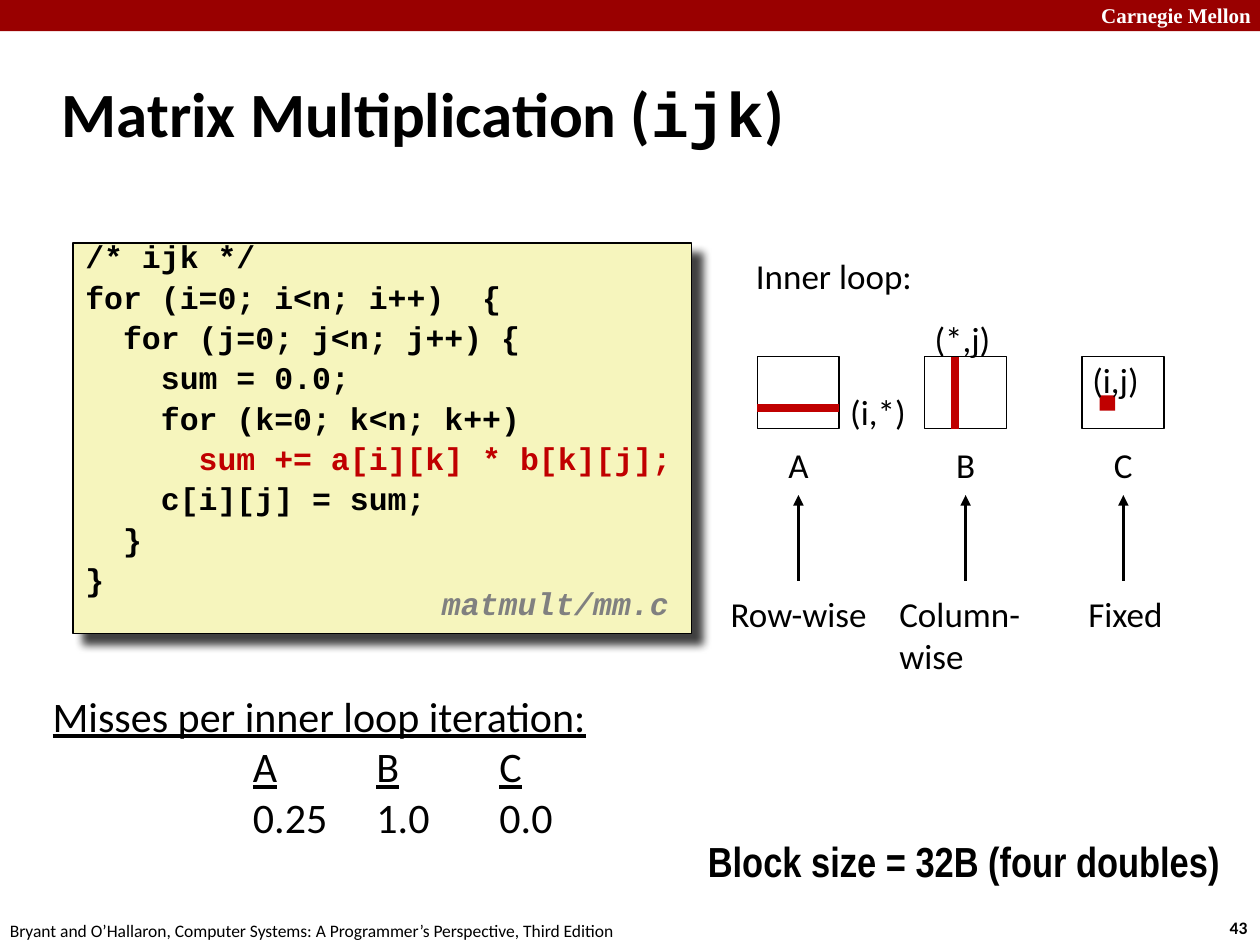
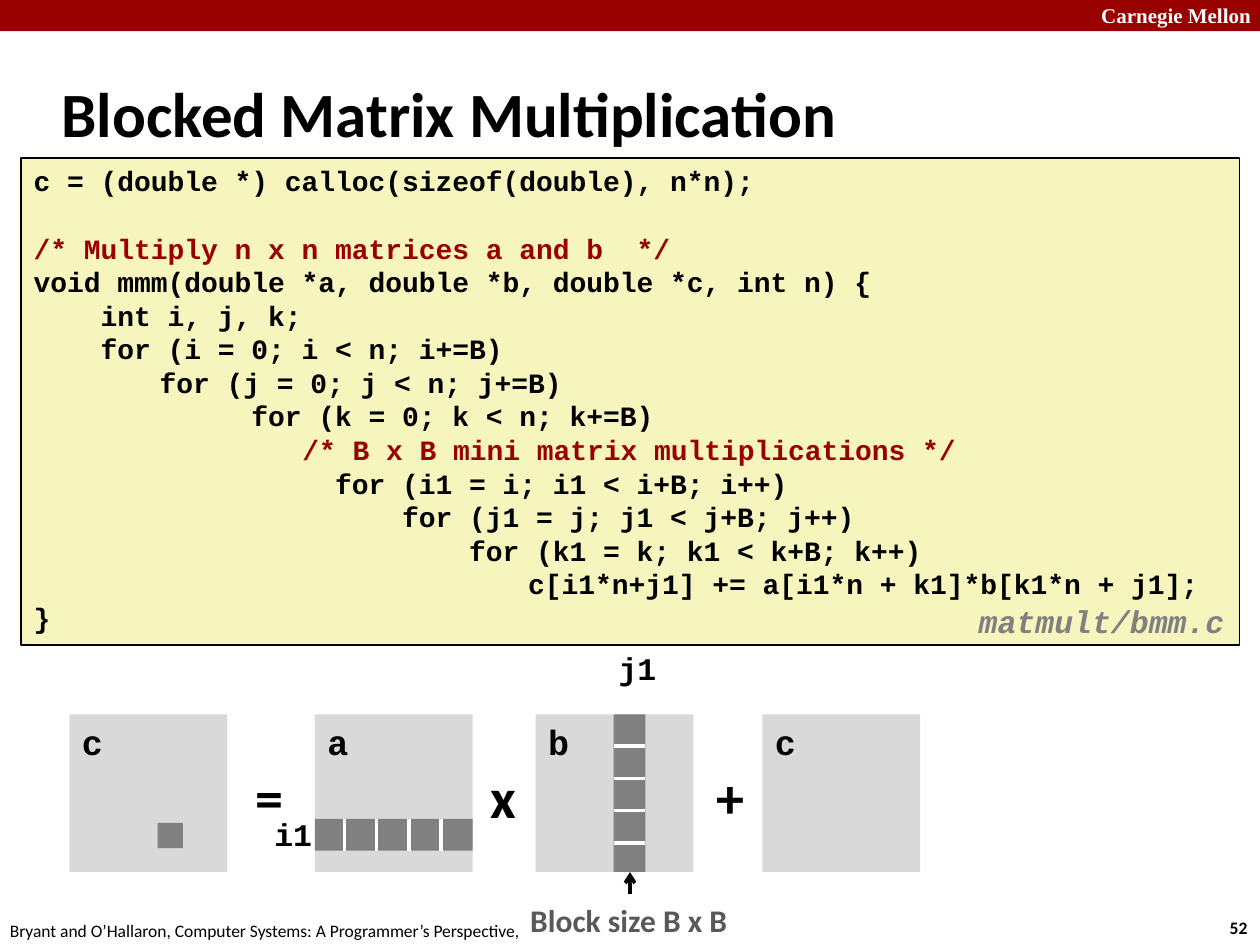
"""Builds two slides on the cache behaviour of matrix multiplication."""
from lxml import etree
from pptx import Presentation
from pptx.dml.color import RGBColor
from pptx.enum.shapes import MSO_CONNECTOR, MSO_SHAPE
from pptx.enum.text import MSO_ANCHOR, PP_ALIGN
from pptx.oxml.ns import qn
from pptx.util import Cm, Pt

RECT, STRAIGHT = MSO_SHAPE.RECTANGLE, MSO_CONNECTOR.STRAIGHT
LEFT, CENTER = PP_ALIGN.LEFT, PP_ALIGN.CENTER
TOP, MIDDLE = MSO_ANCHOR.TOP, MSO_ANCHOR.MIDDLE

BLACK = RGBColor(0x00, 0x00, 0x00)
WHITE = RGBColor(0xFF, 0xFF, 0xFF)
BAND = RGBColor(0x99, 0x00, 0x00)
CODE_FILL = RGBColor(0xF6, 0xF5, 0xBD)
RED = RGBColor(0xC0, 0x00, 0x00)
GREY = RGBColor(0x80, 0x80, 0x80)
LIGHT_GREY = RGBColor(0xD9, 0xD9, 0xD9)
DARK_GREY = RGBColor(0x59, 0x59, 0x59)
SANS, MONO, SERIF, NARROW = "Calibri", "Courier New", "Times New Roman", "Arial Narrow"

SCHOOL = "Carnegie Mellon"
FOOTER = "Bryant and O’Hallaron, Computer Systems: A Programmer’s Perspective, Third Edition"

IJK_TITLE = ["Matrix Multiplication (", ("ijk", {"name": MONO}), ")"]
IJK_CODE = [
    "/* ijk */",
    "for (i=0; i<n; i++)  {",
    "  for (j=0; j<n; j++) {",
    "    sum = 0.0;",
    "    for (k=0; k<n; k++)",
    ["      ", ("sum += a[i][k] * b[k][j];", {"color": RED})],
    "    c[i][j] = sum;",
    "  }",
    "}",
]
MATRICES = [
    ("A", 15.27, ["Row-wise"], 14.48, 3.28),
    ("B", 18.64, ["Column-", "wise"], 17.88, 2.97),
    ("C", 21.82, ["Fixed"], 21.69, 2.01),
]
INNER_LOOP = [
    ("Inner loop:", 14.99, 5.0, 3.68),
    ("(i,*)", 16.89, 7.75, 1.63),
    ("(*,j)", 18.59, 6.27, 1.65),
    ("(i,j)", 21.77, 7.11, 1.45),
]
UNDERLINE = {"underline": True}
MISSES = [
    [("Misses per inner loop iteration:", UNDERLINE)],
    ["\t", ("A", UNDERLINE), "\t", ("B", UNDERLINE), "\t", ("C", UNDERLINE)],
    "\t0.25\t1.0\t0.0",
]

BLOCKED_TITLE = ["Blocked Matrix Multiplication"]
COMMENT = {"color": BAND}
ALLOCATION = "c = (double *) calloc(sizeof(double), n*n);"
BLOCKED_CODE = [
    [("/* Multiply n x n matrices a and b  */", COMMENT)],
    "void mmm(double *a, double *b, double *c, int n) {",
    "    int i, j, k;",
    "    for (i = 0; i < n; i+=B)",
    "\tfor (j = 0; j < n; j+=B)",
    "             for (k = 0; k < n; k+=B)",
    ["\t\t ", ("/* B x B mini matrix multiplications */", COMMENT)],
    "                  for (i1 = i; i1 < i+B; i++)",
    "                      for (j1 = j; j1 < j+B; j++)",
    "                          for (k1 = k; k1 < k+B; k++)",
    "\t                      c[i1*n+j1] += a[i1*n + k1]*b[k1*n + j1];",
    "}",
]
SQUARES = [("c", 1.4), ("a", 6.35), ("b", 10.8), ("c", 15.37)]
OPERATORS = [("=", 4.9), ("x", 9.63), ("+", 14.2)]
INDICES = [("i1", 5.28, 16.31), ("j1", 12.22, 12.95)]


def write(tf, lines, size, name=SANS, color=BLACK, bold=False, italic=False,
          align=LEFT, spacing=None, gap=0, tabs=()):
    """Fill a text frame; a line is a string or a list of runs."""
    for i, line in enumerate(lines):
        p = tf.paragraphs[0] if i == 0 else tf.add_paragraph()
        p.alignment = align
        if tabs:
            tab_list = etree.SubElement(p._p.get_or_add_pPr(), qn("a:tabLst"))
            for stop in tabs:
                etree.SubElement(tab_list, qn("a:tab"), pos=str(Cm(stop)), algn="l")
        if spacing:
            p.line_spacing = spacing
        if gap and i:
            p.space_before = Pt(gap)
        f = p.font
        f.name, f.size, f.bold, f.italic = name, Pt(size), bold, italic
        f.color.rgb = color
        for part in [line] if isinstance(line, str) else line:
            text, changes = (part, {}) if isinstance(part, str) else part
            r = p.add_run()
            r.text = text
            for key, value in changes.items():
                if key == "color":
                    r.font.color.rgb = value
                else:
                    setattr(r.font, key, value)


def add_text(s, lines, x, y, w, h, size, wrap=False, **style):
    """Add a text box."""
    tf = s.shapes.add_textbox(Cm(x), Cm(y), Cm(w), Cm(h)).text_frame
    tf.word_wrap = wrap
    write(tf, lines, size, **style)


def add_rect(s, x, y, w, h, fill, line=None):
    """Add a flat rectangle whose text starts at the top left."""
    sp = s.shapes.add_shape(RECT, Cm(x), Cm(y), Cm(w), Cm(h))
    sp.shadow.inherit = False
    sp.fill.solid()
    sp.fill.fore_color.rgb = fill
    if line is None:
        sp.line.fill.background()
    else:
        sp.line.color.rgb = line
        sp.line.width = Pt(1)
    sp.text_frame.vertical_anchor = TOP
    return sp


def add_line(s, x1, y1, x2, y2, color, width, head=None):
    """Add a straight line, with an arrowhead at its end if one is named."""
    c = s.shapes.add_connector(STRAIGHT, Cm(x1), Cm(y1), Cm(x2), Cm(y2))
    c.line.color.rgb = color
    c.line.width = Pt(width)
    if head:
        etree.SubElement(c.line._get_or_add_ln(), qn("a:tailEnd"), type=head)
    etree.SubElement(c._element.spPr, qn("a:effectLst"))


def add_shadow(sp):
    """Give a shape a soft shadow at its lower right."""
    effects = sp._element.spPr.find(qn("a:effectLst"))
    shadow = etree.SubElement(effects, qn("a:outerShdw"), blurRad=str(Pt(5)),
                              dist=str(Pt(8.5)), dir="2700000", algn="tl", rotWithShape="0")
    color = etree.SubElement(shadow, qn("a:srgbClr"), val=str(BLACK))
    etree.SubElement(color, qn("a:alpha"), val="75000")


def add_file_name(s, name, x, y, w):
    """Add the name of a source file."""
    add_text(s, [name], x, y, w, 0.99, 18, name=MONO, color=GREY,
             bold=True, italic=True, spacing=0.94)


def add_slide(prs, title, number):
    """Add a slide with its band, footer, number and title."""
    s = prs.slides.add_slide(prs.slide_layouts[5])
    add_rect(s, 0, 0, 25.4, 0.63, BAND)
    add_text(s, [SCHOOL], 21.95, -0.08, 3.63, 0.76, 12, name=SERIF, color=WHITE, bold=True)
    add_text(s, [number], 24.54, 18.36, 0.94, 0.69, 10, bold=True)
    add_text(s, [FOOTER], -0.05, 18.42, 12.9, 0.69, 10)
    sp = s.shapes.title
    sp.left, sp.top, sp.width, sp.height = Cm(0.99), Cm(1.2), Cm(21.08), Cm(2.11)
    sp.text_frame.vertical_anchor = MIDDLE
    write(sp.text_frame, [title], 36, bold=True)
    return s


def build_ijk(prs):
    """Build the slide on the ijk loop order."""
    s = add_slide(prs, IJK_TITLE, "43")
    sp = add_rect(s, 1.47, 4.9, 12.47, 7.87, CODE_FILL, BLACK)
    add_shadow(sp)
    write(sp.text_frame, IJK_CODE, 18, name=MONO, bold=True, spacing=0.65, gap=9)
    add_file_name(s, "matmult/mm.c", 8.66, 11.71, 5.28)

    top, width, height = 7.19, 1.65, 1.45
    for name, x, access, access_x, access_w in MATRICES:
        middle = x + width / 2
        add_rect(s, x, top, width, height, WHITE, BLACK)
        add_text(s, [name], middle - 0.45, 8.81, 0.9, 1.09, 20, align=CENTER)
        add_line(s, middle, 11.71, middle, 9.98, BLACK, 2, "triangle")
        add_text(s, access, access_x, 11.81, access_w, 1.09 * len(access), 20)
    add_line(s, 15.27, 8.23, 15.27 + width, 8.23, RED, 4.5)
    add_line(s, 19.25, top, 19.25, top + height, RED, 4.5)
    add_rect(s, 22.17, 7.97, 0.31, 0.31, RED)
    for text, x, y, w in INNER_LOOP:
        add_text(s, [text], x, y, w, 1.09, 20)

    add_text(s, MISSES, 0.81, 13.79, 14.1, 3.38, 24, wrap=True, tabs=(4.04, 6.53, 9.01))
    add_text(s, ["Block size = 32B (four doubles)"], 14.02, 16.71, 11.18, 1.27, 24,
             name=NARROW, bold=True)


def build_blocked(prs):
    """Build the slide on blocked multiplication."""
    s = add_slide(prs, BLOCKED_TITLE, "52")
    sp = add_rect(s, 0.43, 3.18, 24.56, 9.83, CODE_FILL, BLACK)
    tf = sp.text_frame
    write(tf, [ALLOCATION, *BLOCKED_CODE], 16, name=MONO, bold=True, tabs=(2.54, 5.08))
    tf.paragraphs[1].space_before = Pt(19.2)
    add_file_name(s, "matmult/bmm.c", 19.48, 12.07, 5.66)

    top, side, block = 14.4, 3.18, 0.64
    for name, x in SQUARES:
        sp = add_rect(s, x, top, side, side, LIGHT_GREY)
        write(sp.text_frame, [name], 20, name=MONO, bold=True)
    for sign, x in OPERATORS:
        add_text(s, [sign], x, 15.24, 1.09, 1.63, 32, bold=True)
    for name, x, y in INDICES:
        add_text(s, [name], x, y, 1.27, 1.02, 18, name=MONO, bold=True)

    row_x, row_y, column_x = 6.35, 16.51, 12.37
    add_rect(s, 3.18, 16.59, 0.51, 0.51, GREY)
    add_rect(s, row_x, row_y, side, block, GREY)
    add_rect(s, column_x, top, block, side, GREY)
    for i in range(4):
        x, y = row_x + 0.59 + 0.65 * i, top + 0.64 + 0.65 * i
        add_line(s, x, row_y, x, row_y + block, WHITE, 2)
        add_line(s, column_x, y, column_x + block, y, WHITE, 2)
    sp = add_rect(s, 10.44, 18.03, 4.52, 1.02, WHITE)
    sp.text_frame.word_wrap = False
    write(sp.text_frame, ["Block size B x B"], 18, color=DARK_GREY, bold=True)
    add_line(s, 12.7, 18.03, 12.7, 17.58, BLACK, 2, "arrow")


def main():
    """Build and save the slides."""
    prs = Presentation()
    prs.slide_width, prs.slide_height = Cm(25.4), Cm(19.05)
    build_ijk(prs)
    build_blocked(prs)
    prs.save("out.pptx")


if __name__ == "__main__":
    main()
